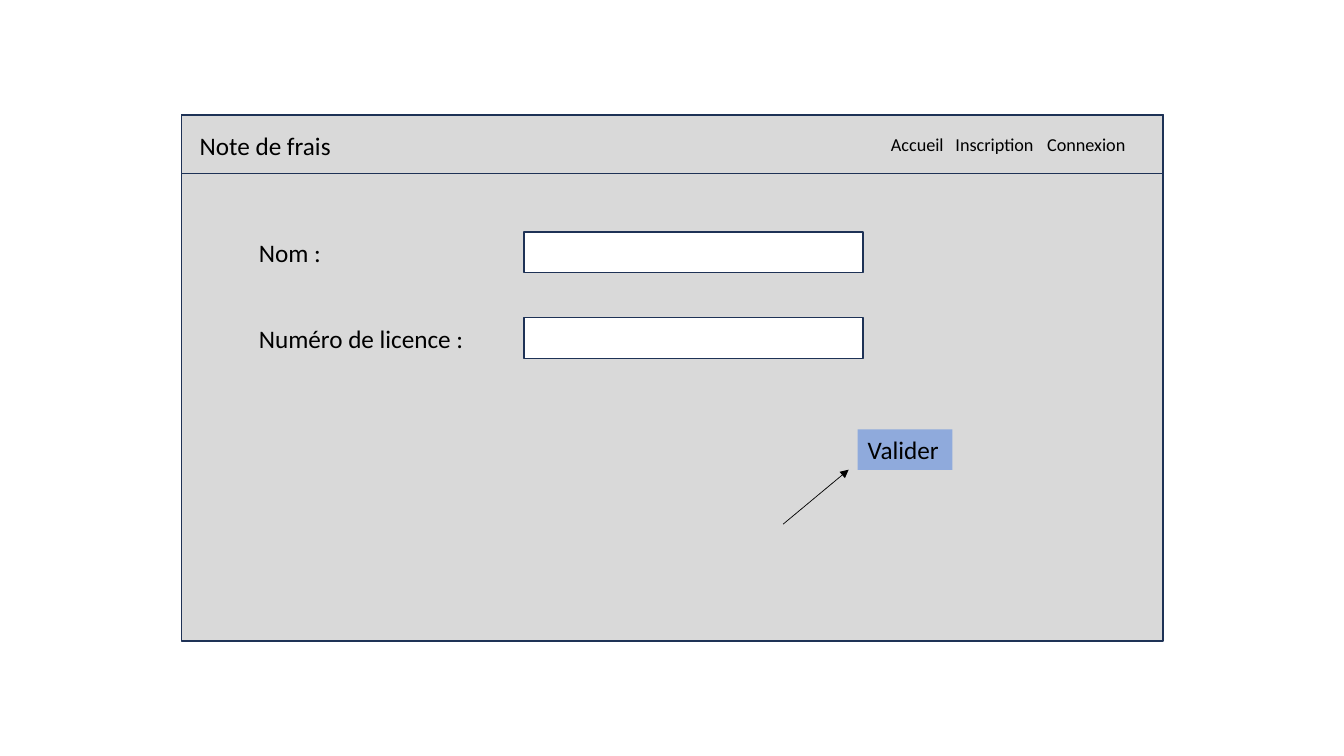
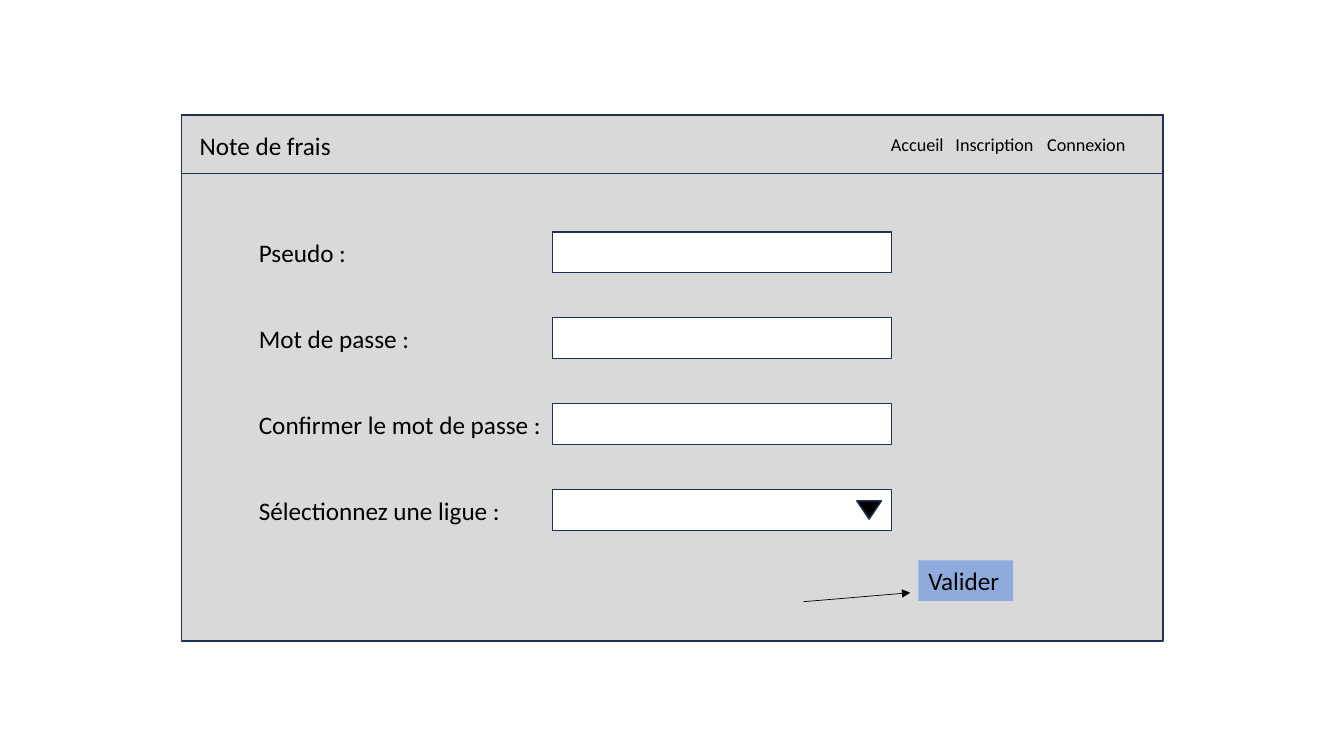
"""Build two form mock-up slides for an expense-report site."""
from lxml import etree
from pptx import Presentation
from pptx.dml.color import RGBColor
from pptx.enum import shapes, text
from pptx.oxml import ns
from pptx.util import Pt

GREY, NAVY, BLUE, WHITE, BLACK = "D9D9D9", "1E3256", "8FAADC", "FFFFFF", "000000"
FONT = "Calibri"
LEFT, TOP, WIDTH, HEIGHT, HEADER = 129.6, 82, 701.2, 376, 41.8
LABEL_X, ROW_Y, ROW_STEP = 177.8, 165.6, 61.4
FIELD_W, ROW_H = 242, 29
NAV = [("Accueil", 629.3), ("Inscription", 675.4), ("Connexion", 740.9)]
FORMS = [
    {"labels": ["Nom :", "Numéro de licence :"],
     "field_x": 374.4, "button": (612.7, 306.7),
     "arrow": (559.4, 374.4, 606.2, 335.5), "dropdown": False},
    {"labels": ["Pseudo :", "Mot de passe :", "Confirmer le mot de passe :",
                "Sélectionnez une ligue :"],
     "field_x": 394.6, "button": (656, 400.3),
     "arrow": (573.8, 429.8, 650.2, 423.4), "dropdown": True},
]


def add_box(s, kind, x, y, w, h, fill, line=None):
    sp = s.shapes.add_shape(kind, Pt(x), Pt(y), Pt(w), Pt(h))
    sp.shadow.inherit = False
    sp.fill.solid()
    sp.fill.fore_color.rgb = RGBColor.from_string(fill)
    if line:
        sp.line.color.rgb = RGBColor.from_string(line)
        sp.line.width = Pt(1)
    else:
        sp.line.fill.background()
    return sp


def set_text(sp, words, size=18):
    tf = sp.text_frame
    tf.text = words
    tf.word_wrap = True
    tf.auto_size = text.MSO_AUTO_SIZE.NONE
    tf.vertical_anchor = text.MSO_ANCHOR.MIDDLE
    p = tf.paragraphs[0]
    p.alignment = text.PP_ALIGN.LEFT
    r = p.runs[0]
    r.font.name = FONT
    r.font.size = Pt(size)
    r.font.color.rgb = RGBColor.from_string(BLACK)


prs = Presentation()
prs.slide_width, prs.slide_height = Pt(960), Pt(540)
RECT = shapes.MSO_SHAPE.RECTANGLE

for form in FORMS:
    s = prs.slides.add_slide(prs.slide_layouts[5])
    for height in (HEIGHT, HEADER):
        add_box(s, RECT, LEFT, TOP, WIDTH, height, GREY, NAVY)

    title = s.shapes.title
    title.left, title.top, title.width, title.height = Pt(135.4), Pt(89.3), Pt(121), Pt(ROW_H)
    set_text(title, "Note de frais")
    s.shapes._spTree.append(title._element)

    for words, x in NAV:
        sp = s.shapes.add_textbox(Pt(x), Pt(91.4), Pt(74), Pt(23))
        set_text(sp, words, 13)

    for i, words in enumerate(form["labels"]):
        y = ROW_Y + i * ROW_STEP
        sp = s.shapes.add_textbox(Pt(LABEL_X), Pt(y), Pt(220), Pt(ROW_H))
        set_text(sp, words)
        add_box(s, RECT, form["field_x"], y, FIELD_W, ROW_H, WHITE, NAVY)

    if form["dropdown"]:
        sp = add_box(s, shapes.MSO_SHAPE.ISOSCELES_TRIANGLE,
                     form["field_x"] + FIELD_W - 24.6, y + 8, 17.6, 13, BLACK, NAVY)
        sp.rotation = 180

    x, y = form["button"]
    set_text(add_box(s, RECT, x, y, 67.7, ROW_H, BLUE), "Valider")

    arrow = s.shapes.add_connector(shapes.MSO_CONNECTOR.STRAIGHT, *map(Pt, form["arrow"]))
    arrow.line.color.rgb = RGBColor.from_string(BLACK)
    arrow.line.width = Pt(0.5)
    etree.SubElement(arrow.line._get_or_add_ln(), ns.qn("a:tailEnd"), type="triangle")
    etree.SubElement(arrow._element.spPr, ns.qn("a:effectLst"))

prs.save("out.pptx")
